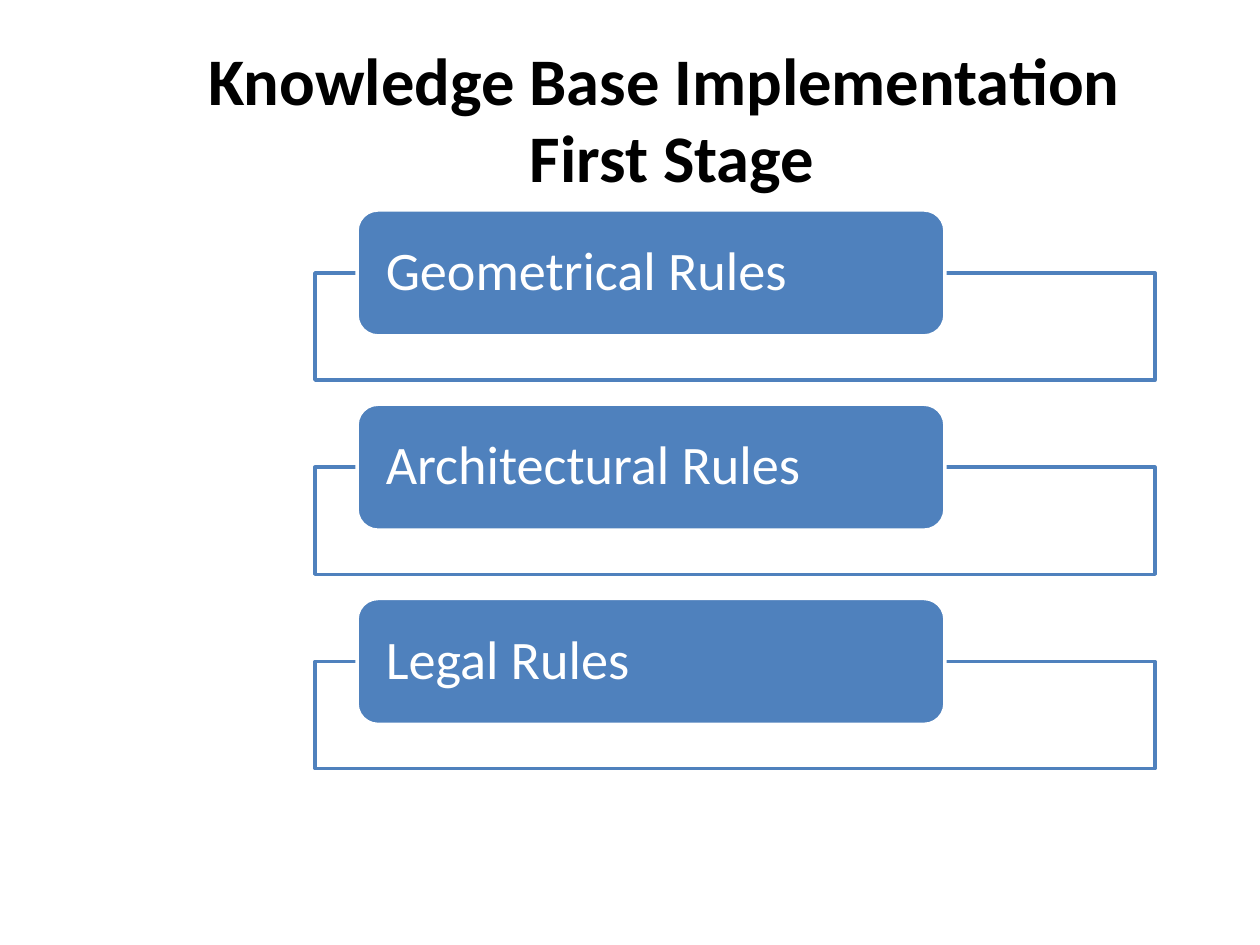
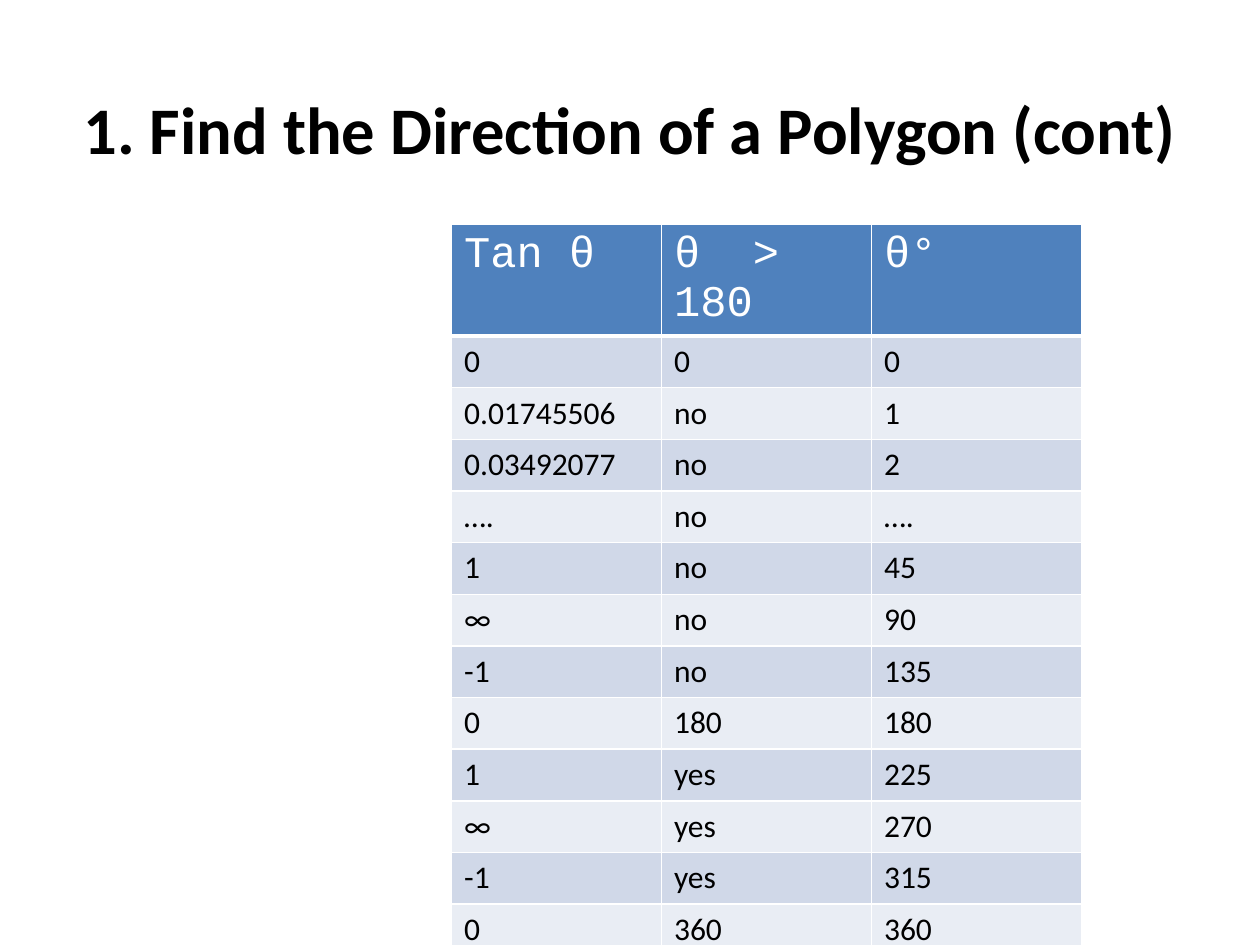
"""Build two slides on a knowledge base: its rule groups and a table of polygon directions."""
from dataclasses import dataclass

from lxml.etree import SubElement
from pptx import Presentation
from pptx.dml.color import RGBColor
from pptx.enum.shapes import MSO_SHAPE
from pptx.enum.text import MSO_ANCHOR, MSO_AUTO_SIZE, PP_ALIGN
from pptx.oxml.ns import qn
from pptx.util import Inches, Pt


@dataclass(frozen=True)
class Theme:
    black: RGBColor = RGBColor.from_string("000000")
    white: RGBColor = RGBColor.from_string("FFFFFF")
    blue: RGBColor = RGBColor.from_string("4F81BD")
    bands: tuple = (RGBColor.from_string("E9EDF4"), RGBColor.from_string("D0D8E8"))
    font: str = "Calibri"
    code_font: str = "Courier New"
    title_size: float = 38
    rule_size: float = 31
    header_size: float = 25
    cell_size: float = 18
    line_width: float = 2


theme = Theme()
presentation = Presentation()
presentation.slide_width = Inches(10)
presentation.slide_height = Inches(7.5)
column = presentation.slide_width / 12
row = presentation.slide_height / 18


def grid_box(left, top, width, height):
    """Turn grid columns and rows into left, top, width and height."""
    return [round(length) for length in (left * column, top * row, width * column, height * row)]


def write(frame, text, alignment, size, color, name=theme.font, bold=False):
    """Put one formatted paragraph into a text frame."""
    frame.text = text
    paragraph = frame.paragraphs[0]
    paragraph.alignment = alignment
    for run in paragraph.runs:
        for attribute, value in {"name": name, "size": Pt(size), "bold": bold}.items():
            setattr(run.font, attribute, value)
        run.font.color.rgb = color


titles = [
    ("Knowledge Base Implementation \vFirst Stage", (1, 0.8, 10.8, 3)),
    ("1. Find the Direction of a Polygon (cont)", (0.6, 1, 10.8, 3)),
]
slides = []
for text, box in titles:
    slide = presentation.slides.add_slide(presentation.slide_layouts[5])
    title = slide.shapes.title
    title.left, title.top, title.width, title.height = grid_box(*box)
    write(title.text_frame, text, PP_ALIGN.CENTER, theme.title_size, theme.black, bold=True)
    frame_format = {"vertical_anchor": MSO_ANCHOR.MIDDLE, "auto_size": MSO_AUTO_SIZE.NONE, "word_wrap": True}
    for attribute, value in frame_format.items():
        setattr(title.text_frame, attribute, value)
    title.text_frame.paragraphs[0].line_spacing = 0.97
    slides.append(slide)
rules_slide, direction_slide = slides

for index, rule in enumerate(["Geometrical Rules", "Architectural Rules", "Legal Rules"]):
    top = 4 + 3.7 * index
    frame_shape = rules_slide.shapes.add_shape(MSO_SHAPE.RECTANGLE, *grid_box(3, top + 1.2, 8, 2.04))
    label = rules_slide.shapes.add_shape(MSO_SHAPE.ROUNDED_RECTANGLE, *grid_box(3.4, top, 5.6, 2.4))
    for shape, fill, line in [(frame_shape, theme.white, theme.blue), (label, theme.blue, theme.white)]:
        shape.shadow.inherit = False
        shape.fill.solid()
        shape.fill.fore_color.rgb = fill
        shape.line.color.rgb = line
        shape.line.width = Pt(theme.line_width)
    write(label.text_frame, rule, PP_ALIGN.LEFT, theme.rule_size, theme.white)
    label.text_frame.paragraphs[0].line_spacing = 0.9
    label_format = {
        "margin_left": Inches(0.18), "margin_right": Inches(0.18), "margin_top": 0, "margin_bottom": 0,
        "vertical_anchor": MSO_ANCHOR.MIDDLE, "word_wrap": True,
    }
    for attribute, value in label_format.items():
        setattr(label.text_frame, attribute, value)

directions = [
    ("Tan θ", "θ  > 180", "θ°"),
    ("0", "0", "0"),
    ("0.01745506", "no", "1"),
    ("0.03492077", "no", "2"),
    ("….", "no", "…."),
    ("1", "no", "45"),
    ("∞", "no", "90"),
    ("-1", "no", "135"),
    ("0", "180", "180"),
    ("1", "yes", "225"),
    ("∞", "yes", "270"),
    ("-1", "yes", "315"),
    ("0", "360", "360"),
]
table_box = grid_box(4.3, 4.28, 6, 12.9)
table = direction_slide.shapes.add_table(len(directions), len(directions[0]), *table_box).table
for row_index, values in enumerate(directions):
    is_header = row_index == 0
    table.rows[row_index].height = Inches(0.4 if is_header else 0.41)
    for column_index, value in enumerate(values):
        cell = table.cell(row_index, column_index)
        cell.fill.solid()
        cell.fill.fore_color.rgb = theme.blue if is_header else theme.bands[row_index % 2]
        if is_header:
            write(cell.text_frame, value, PP_ALIGN.LEFT, theme.header_size, theme.white, theme.code_font)
        else:
            write(cell.text_frame, value, PP_ALIGN.LEFT, theme.cell_size, theme.black)
        properties = cell._tc.get_or_add_tcPr()
        thick_edge = {0: "lnB", 1: "lnT"}.get(row_index)
        for position, edge in enumerate(["lnL", "lnR", "lnT", "lnB"]):
            border = SubElement(properties, qn(f"a:{edge}"), w=str(Pt(3 if edge == thick_edge else 1)))
            fill = SubElement(border, qn("a:solidFill"))
            SubElement(fill, qn("a:srgbClr"), val=str(theme.white))
            properties.insert(position, border)

presentation.save("out.pptx")
